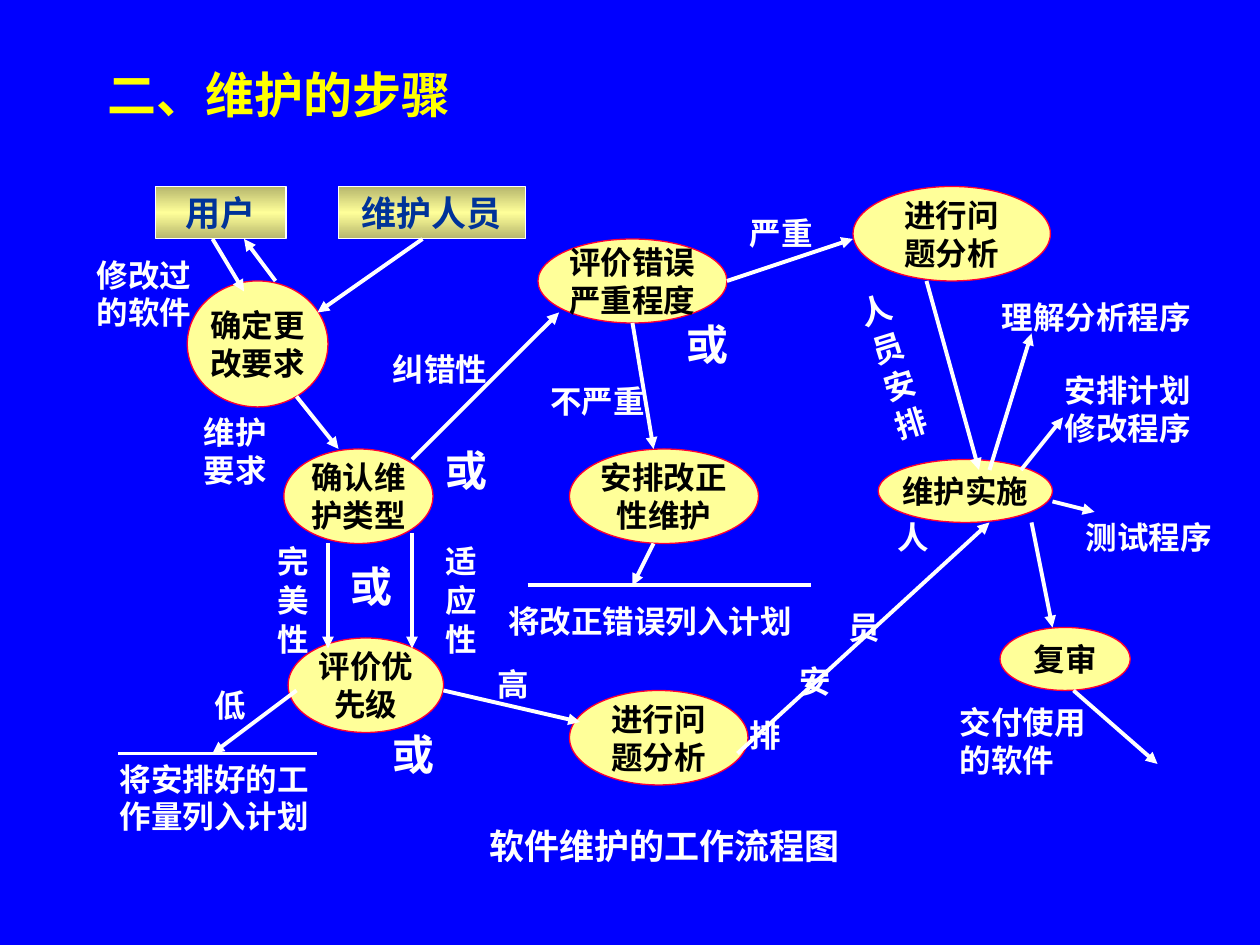
import copy
import pptx
import pptx.util
import pptx.dml.color
import pptx.enum.shapes
import pptx.enum.text
import pptx.oxml.ns
from lxml import etree

COLORS = {
    "background": "0000FF", "title": "FFFF00", "white": "FFFFFF", "node": "FFFF99",
    "outline": "FF0033", "shade": "B6B66D", "actor": "003399", "black": "000000",
}
FONT = "Times New Roman"
TITLE = ("二、维护的步骤", (8.8, 4.2, 102, 10))
CELL = 1 / 12
ORIGIN = (0.02, -0.02)

ACTORS = [
    ("用户", (14.6, 18, 12.4, 5)),
    ("维护人员", (32, 18, 17.8, 5)),
]
STEPS = [
    ("安排改正\n性维护", (54, 43, 18, 9)),
    ("确认维\n护类型", (26.8, 43, 14.2, 9)),
    ("维护实施", (83.4, 44, 16.6, 6)),
    ("评价优\n先级", (27.2, 61, 14.8, 9)),
    ("进行问\n题分析", (54, 66, 17, 9)),
    ("复审", (95, 60, 12.4, 6)),
    ("评价错误\n严重程度", (51, 23, 18, 8)),
    ("进行问\n题分析", (81, 18, 18.8, 9)),
    ("确定更\n改要求", (17.6, 27, 13.4, 12)),
]
ARROWS = [
    (20, 23, 23, 28), (26, 27, 23, 23), (40, 23, 30, 30), (28, 38, 32, 43),
    (31, 52, 31, 62), (39, 51, 39, 62), (28, 66, 20, 72), (42, 66, 55, 69),
    (39, 44, 53, 30), (69, 27, 81, 23), (60, 31, 62, 43), (62, 52, 60, 56),
    (70, 72, 94, 50), (88, 27, 93, 45), (98, 50, 100, 60), (102, 66, 110, 73),
    (94, 45, 98, 32), (97, 45, 101, 40), (100, 48, 104, 49),
]
PLAN_LINES = [(11, 72, 30, 72), (50, 56, 77, 56)]
NOTES = [
    ("维护要求", (18, 39, 10, 8.4)),
    ("将安排好的工作量列入计划", (10, 72, 23, 8.4)),
    ("低", (19, 65, 6, 4.8)),
    ("高", (46, 63, 7, 4.8)),
    ("纠错性", (36, 33, 14, 4.8)),
    ("严重", (70, 20, 9, 4.8)),
    ("不严重", (51, 36, 14, 4.8)),
    ("将改正错误列入计划", (47, 57, 36, 4.8)),
    ("交付使用的软件", (90, 66.6, 17, 8.4)),
    ("理解分析程序", (94, 28, 25, 4.8)),
    ("安排计划修改程序", (100, 35, 16, 8.4)),
    ("测试程序", (102, 49, 16, 4.8)),
    ("修改过\n的软件", (7.8, 24, 14.2, 8.4)),
]
VERTICAL_NOTES = [
    ("完 美 性", (24, 51, 6, 13), 0),
    ("适 应 性", (40, 51, 6, 15), 0),
    ("人 员 安 排", (82, 27, 6, 22), 342.8),
]
CHOICES = [(32, 53), (41, 42), (64, 30), (36, 69)]
CAPTION = ("软件维护的工作流程图", (45.2, 78.2, 47, 5.2))
STAFFING = ("人\n员\n安\n排", (70, 49, 21, 21))
STAFFING_INDENT = 0.39
STAFFING_GAPS = (0, 30, 9, 9)


def color(name):
    return pptx.dml.color.RGBColor.from_string(COLORS[name])


def point(column, row):
    return (pptx.util.Inches(ORIGIN[0] + column * CELL),
            pptx.util.Inches(ORIGIN[1] + row * CELL))


def area(cells):
    column, row, width, height = cells
    return (*point(column, row), pptx.util.Inches(width * CELL), pptx.util.Inches(height * CELL))


def write(frame, text, size, ink, align="LEFT", font=FONT):
    frame.text = text
    for para in frame.paragraphs:
        para.alignment = getattr(pptx.enum.text.PP_ALIGN, align)
        para.font.name = font
        para.font.size = pptx.util.Pt(size)
        para.font.bold = True
        para.font.color.rgb = color(ink)


def add_node(page, kind, text, cells, size, ink, outline):
    node = page.shapes.add_shape(kind, *area(cells))
    node.shadow.inherit = False
    node.line.color.rgb = color(outline)
    node.line.width = pptx.util.Pt(0.75)
    write(node.text_frame, text, size, ink, "CENTER")
    node.text_frame.word_wrap = False
    node.text_frame.vertical_anchor = pptx.enum.text.MSO_ANCHOR.MIDDLE
    return node


def shade(node):
    node.fill.gradient()
    node.fill.gradient_angle = 90
    stops = node.fill._fill._gradFill.gsLst
    stops.append(copy.deepcopy(stops[0]))
    for stop, place, name in zip(node.fill.gradient_stops, (0, 0.5, 1), ("shade", "node", "shade")):
        stop.position = place
        stop.color.rgb = color(name)


def add_line(page, ends, arrow):
    line = page.shapes.add_connector(pptx.enum.shapes.MSO_CONNECTOR.STRAIGHT,
                                     *point(*ends[:2]), *point(*ends[2:]))
    line.line.color.rgb = color("white")
    line.line.width = pptx.util.Pt(2.25)
    if arrow:
        etree.SubElement(line.line._ln, pptx.oxml.ns.qn("a:tailEnd"), type="triangle")
    etree.SubElement(line._element.spPr, pptx.oxml.ns.qn("a:effectLst"))


def add_note(page, text, cells, size=18):
    box = page.shapes.add_textbox(*area(cells))
    box.text_frame.word_wrap = True
    box.text_frame.auto_size = pptx.enum.text.MSO_AUTO_SIZE.SHAPE_TO_FIT_TEXT
    write(box.text_frame, text, size, "white")
    return box


def main():
    deck = pptx.Presentation()
    deck.slide_width, deck.slide_height = pptx.util.Inches(10), pptx.util.Inches(7.5)
    page = deck.slides.add_slide(deck.slide_layouts[5])
    page.background.fill.solid()
    page.background.fill.fore_color.rgb = color("background")

    title = page.shapes.title
    title.left, title.top, title.width, title.height = area(TITLE[1])
    write(title.text_frame, TITLE[0], 28, "title", font="Arial")
    title.text_frame.vertical_anchor = pptx.enum.text.MSO_ANCHOR.MIDDLE

    shapes = pptx.enum.shapes.MSO_SHAPE
    for text, cells in ACTORS:
        shade(add_node(page, shapes.RECTANGLE, text, cells, 20, "actor", "white"))
    for text, cells in STEPS:
        step = add_node(page, shapes.OVAL, text, cells, 18, "black", "outline")
        step.fill.solid()
        step.fill.fore_color.rgb = color("node")
    for ends in ARROWS:
        add_line(page, ends, True)
    for ends in PLAN_LINES:
        add_line(page, ends, False)

    for text, cells in NOTES:
        add_note(page, text, cells)
    for text, cells, turn in VERTICAL_NOTES:
        box = add_note(page, text, cells)
        box.rotation = turn
        box.text_frame._txBody.bodyPr.set("vert", "eaVert")
    for column, row in CHOICES:
        add_note(page, "或", (column, row, 10, 6), 24)
    add_note(page, *CAPTION, 20)

    staffing = add_note(page, *STAFFING).text_frame.paragraphs
    for index, (para, gap) in enumerate(zip(staffing, STAFFING_GAPS)):
        indent = (len(staffing) - 1 - index) * STAFFING_INDENT
        para._p.get_or_add_pPr().set("marL", str(pptx.util.Inches(indent)))
        para.space_before = pptx.util.Pt(gap)

    deck.save("out.pptx")


if __name__ == "__main__":
    main()
